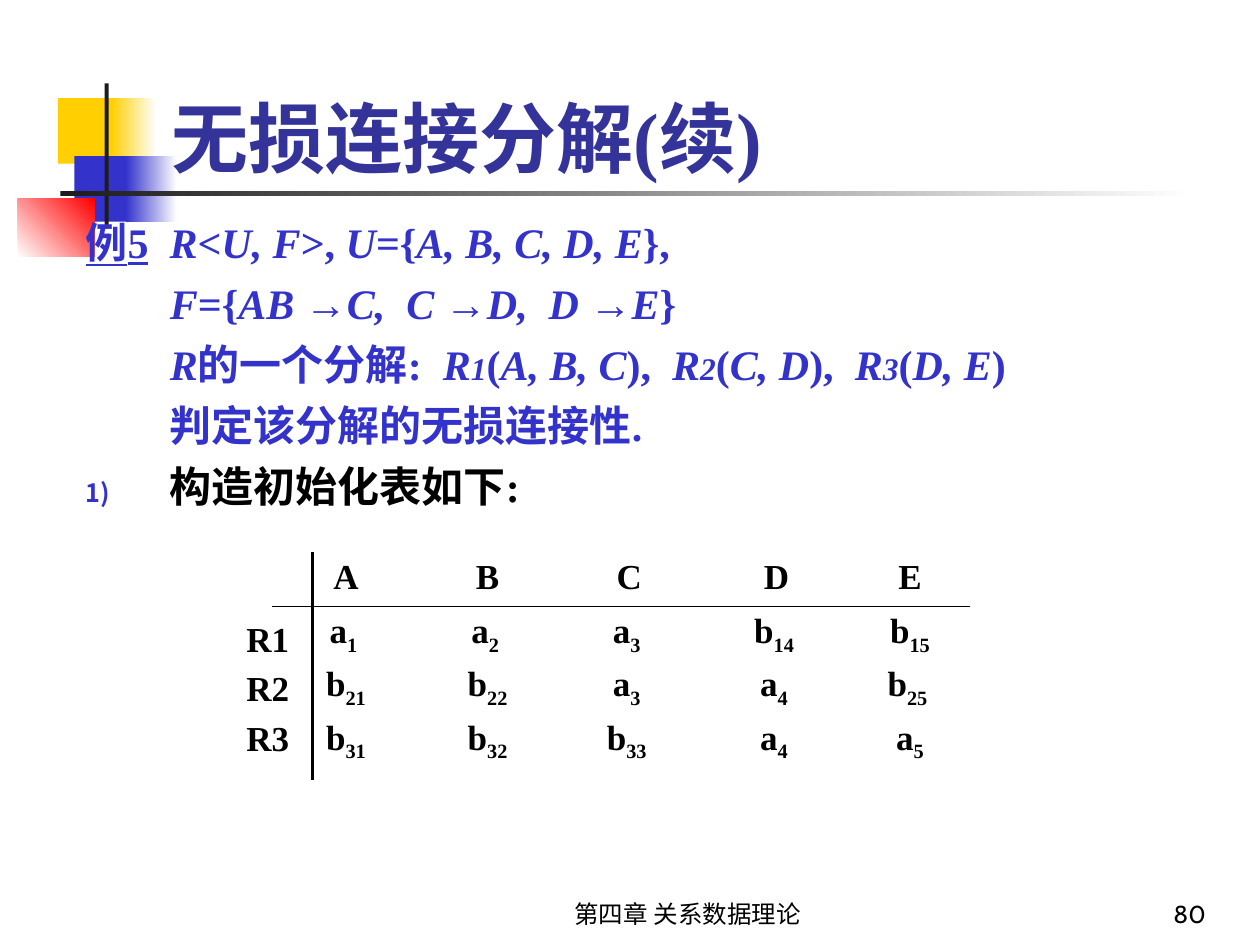
from dataclasses import dataclass
from itertools import groupby

from lxml import etree
from pptx import Presentation
from pptx import util as u
from pptx.dml.color import RGBColor
from pptx.enum import shapes, text
from pptx.oxml import ns


@dataclass(frozen=True)
class Theme:
    serif: str = "Times New Roman"
    sans: str = "Cabin"
    symbol: str = "Arial"
    heading: str = "333399"
    blue: str = "3333CC"
    yellow: str = "FFCF01"
    red: str = "FF0000"
    dark: str = "1C1C1C"
    black: str = "000000"
    white: str = "FFFFFF"
    title_size: int = 44
    body_size: int = 24
    index_size: int = 18
    table_size: int = 20
    footer_size: int = 14


THEME = Theme()


def write(paragraph, content, font, size, color, bold=False, italic=False,
          underline=False, subscript=False):
    run = paragraph.add_run()
    run.text = content
    run.font.name = font
    run.font.size = u.Pt(size)
    run.font.color.rgb = RGBColor.from_string(color)
    run.font.bold = bold
    run.font.italic = italic
    run.font.underline = underline
    if subscript:
        run.font._element.set("baseline", "-25000")


def write_formula(paragraph, markup, color):
    marks = {"*": False, "_": False, "~": False}
    styled = []
    for character in markup:
        if character in marks:
            marks[character] = not marks[character]
        else:
            styled.append((character, (*marks.values(), character == "→")))
    for (italic, index, underline, arrow), group in groupby(styled, lambda item: item[1]):
        write(paragraph, "".join(character for character, _ in group),
              font=THEME.symbol if arrow else THEME.serif,
              size=THEME.index_size if index else THEME.body_size,
              color=color, bold=True, italic=italic, underline=underline)


def add_element(parent, tag, **attributes):
    return etree.SubElement(parent, ns.qn(tag), attributes)


class SlideBuilder:
    def __init__(self, presentation, theme):
        self.theme = theme
        self.slide = presentation.slides.add_slide(presentation.slide_layouts[1])

    def block(self, box, color, fade_to=None, angle=0):
        shape = self.slide.shapes.add_shape(shapes.MSO_SHAPE.RECTANGLE, *map(u.Cm, box))
        shape.shadow.inherit = False
        shape.line.fill.background()
        if fade_to is None:
            shape.fill.solid()
            shape.fill.fore_color.rgb = RGBColor.from_string(color)
            return
        shape.fill.gradient()
        shape.fill.gradient_angle = angle
        for stop, stop_color in zip(shape.fill.gradient_stops, (color, fade_to)):
            stop.color.rgb = RGBColor.from_string(stop_color)

    def placeholder(self, index, box, anchor):
        shape = self.slide.placeholders[index]
        self.slide.shapes.element.append(shape.element)
        shape.left, shape.top, shape.width, shape.height = map(u.Cm, box)
        frame = shape.text_frame
        frame.auto_size = text.MSO_AUTO_SIZE.NONE
        frame.vertical_anchor = anchor
        return frame

    def title(self, content, box):
        paragraph = self.placeholder(0, box, text.MSO_ANCHOR.BOTTOM).paragraphs[0]
        paragraph.alignment = text.PP_ALIGN.LEFT
        write(paragraph, content, font=self.theme.serif, size=self.theme.title_size,
              color=self.theme.heading, bold=True)

    def body(self, lines, box, margin):
        frame = self.placeholder(1, box, text.MSO_ANCHOR.TOP)
        for position, (markup, hanging, numbered) in enumerate(lines):
            paragraph = frame.add_paragraph() if position else frame.paragraphs[0]
            paragraph.space_before = u.Pt(6 if position else 0)
            properties = paragraph._p.get_or_add_pPr()
            properties.set("marL", str(u.Cm(margin)))
            properties.set("indent", str(-u.Cm(margin) if hanging else 0))
            if numbered:
                bullet_color = add_element(properties, "a:buClr")
                add_element(bullet_color, "a:srgbClr", val=self.theme.blue)
                add_element(properties, "a:buSzPct", val="60000")
                add_element(properties, "a:buFont", typeface=self.theme.sans)
                add_element(properties, "a:buAutoNum", type="arabicParenR")
            else:
                add_element(properties, "a:buNone")
            write_formula(paragraph, markup, self.theme.black if numbered else self.theme.blue)

    def border(self, cell, visible_side):
        properties = cell._tc.get_or_add_tcPr()
        for side in ("a:lnL", "a:lnR", "a:lnT", "a:lnB"):
            line = add_element(properties, side, w=str(u.Pt(0.45)))
            if side == visible_side:
                fill = add_element(line, "a:solidFill")
                add_element(fill, "a:srgbClr", val=self.theme.black)
            else:
                add_element(line, "a:noFill")

    def table(self, columns, left, top, widths, heights):
        frame = self.slide.shapes.add_table(
            2, len(columns), u.Cm(left), u.Cm(top), u.Cm(sum(widths)), u.Cm(sum(heights)))
        table = frame.table
        table.first_row = table.horz_banding = False
        for row, height in zip(table.rows, heights):
            row.height = u.Cm(height)
        for number, (width, (header, entries)) in enumerate(zip(widths, columns)):
            table.columns[number].width = u.Cm(width)
            for row, items in enumerate(([(header, "")], entries)):
                cell = table.cell(row, number)
                self.border(cell, "a:lnT" if row else "a:lnB")
                cell.fill.background()
                self.entries(cell.text_frame, items)

    def entries(self, frame, items):
        for position, (symbol, index) in enumerate(items):
            paragraph = frame.add_paragraph() if position else frame.paragraphs[0]
            paragraph.alignment = text.PP_ALIGN.CENTER
            paragraph.space_before = u.Pt(5 if position else 0)
            style = dict(font=self.theme.serif, size=self.theme.table_size,
                         color=self.theme.black, bold=True)
            write(paragraph, symbol, **style)
            if index:
                write(paragraph, index, subscript=True, **style)

    def line(self, start, end, width):
        connector = self.slide.shapes.add_connector(
            shapes.MSO_CONNECTOR.STRAIGHT, *map(u.Cm, start + end))
        connector.line.width = u.Pt(width)
        connector.line.color.rgb = RGBColor.from_string(self.theme.black)
        add_element(connector._element.spPr, "a:effectLst")

    def label(self, content, box, align, anchor=text.MSO_ANCHOR.TOP, wrap=True, **style):
        frame = self.slide.shapes.add_textbox(*map(u.Cm, box)).text_frame
        frame.word_wrap = wrap
        frame.vertical_anchor = anchor
        paragraph = frame.paragraphs[0]
        paragraph.alignment = align
        write(paragraph, content, color=self.theme.black, **style)


def main():
    presentation = Presentation()
    presentation.slide_width, presentation.slide_height = u.Cm(25.4), u.Cm(19.05)
    builder = SlideBuilder(presentation, THEME)

    builder.block((1.17, 1.98, 1.22, 1.32), THEME.yellow)
    builder.block((2.24, 1.98, 0.91, 1.32), THEME.yellow, THEME.white)
    builder.block((1.5, 3.15, 1.17, 1.32), THEME.blue)
    builder.block((2.54, 3.15, 1.02, 1.32), THEME.blue, THEME.white)
    builder.block((0.36, 4.01, 1.55, 1.17), THEME.white, THEME.red, angle=45)
    builder.block((2.11, 1.68, 0.08, 2.92), THEME.dark)
    builder.block((1.22, 3.86, 22.86, 0.1), THEME.dark, THEME.white)

    builder.title("无损连接分解(续)", (3.2, 0.64, 21.36, 3.18))
    builder.body([
        ("~例5~  *R*<*U, F*>, *U*={*A, B, C, D, E*},", True, False),
        ("*F*={*AB →C,  C →D,  D →E*}", False, False),
        ("*R*的一个分解:  *R_1_*(*A, B, C*),  *R_2_*(*C, D*),  *R_3_*(*D, E*)", False, False),
        ("判定该分解的无损连接性.", False, False),
        ("构造初始化表如下:", True, True),
    ], (1.47, 4.24, 23.06, 6.55), margin=1.7)

    builder.table([
        ("A", [("a", "1 "), ("b", "21"), ("b", "31")]),
        ("B", [("a", "2 "), ("b", "22"), ("b", "32")]),
        ("C", [("a", "3 "), ("a", "3 "), ("b", "33 ")]),
        ("D", [("b", "14 "), ("a", "4 "), ("a", "4 ")]),
        ("E", [("b", "15"), ("b", "25 "), ("a", "5")]),
    ], 5.49, 11.13, (2.97, 2.74, 2.97, 2.97, 2.41), (1.09, 3.56))
    builder.line((6.3, 11.13), (6.3, 15.72), 1.5)
    for row, relation in enumerate(("R1", "R2", "R3")):
        builder.label(relation, (4.7, 12.32 + row, 1.4, 1.12), text.PP_ALIGN.CENTER,
                      wrap=False, font=THEME.serif, size=THEME.table_size, bold=True)

    footer = dict(anchor=text.MSO_ANCHOR.BOTTOM, font=THEME.sans, size=THEME.footer_size)
    builder.label("第四章 关系数据理论", (9.32, 17.58, 9.09, 1.27), text.PP_ALIGN.CENTER, **footer)
    builder.label("80", (19.05, 17.58, 5.51, 1.27), text.PP_ALIGN.RIGHT, **footer)

    presentation.save("out.pptx")


if __name__ == "__main__":
    main()
